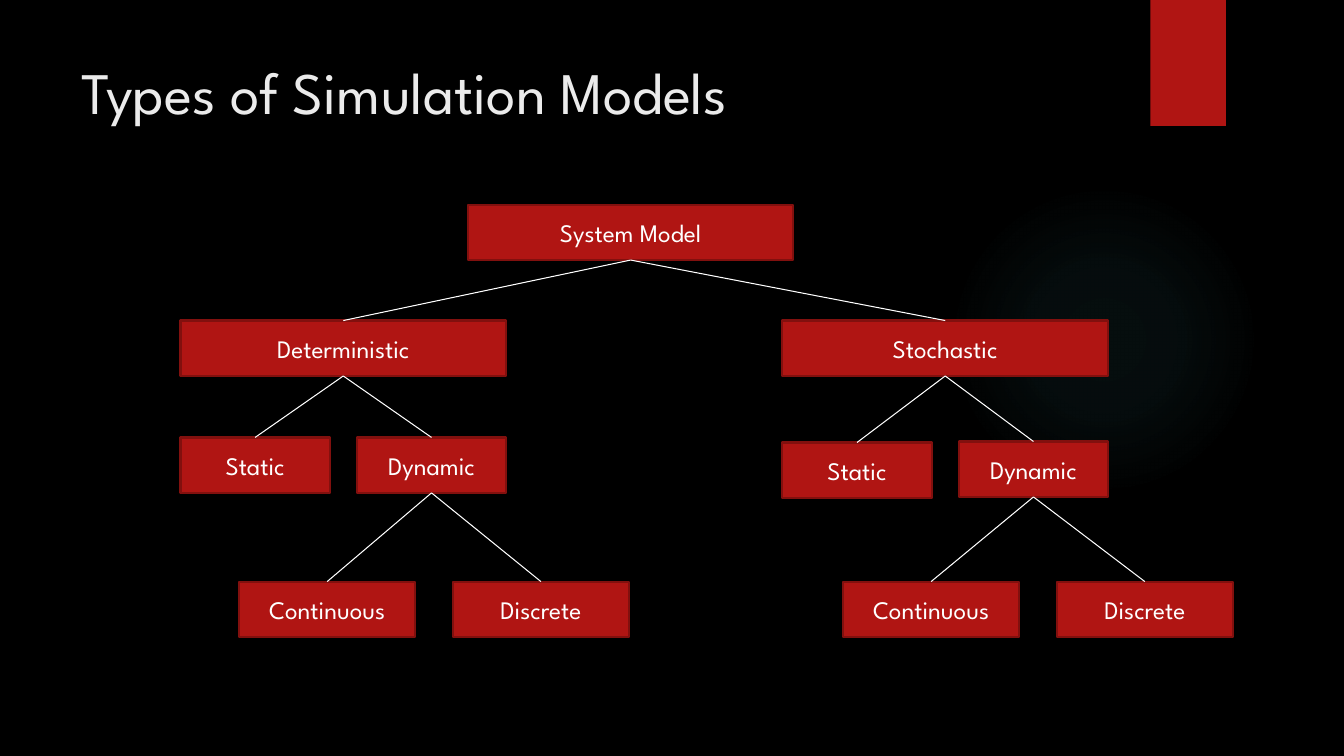
from dataclasses import dataclass

from lxml.etree import SubElement
from pptx import Presentation
from pptx.dml.color import RGBColor
from pptx.enum.shapes import MSO_CONNECTOR, MSO_SHAPE
from pptx.enum.text import MSO_ANCHOR, MSO_AUTO_SIZE, PP_ALIGN
from pptx.oxml import parse_xml
from pptx.oxml.ns import nsdecls, qn
from pptx.shapes.autoshape import Shape
from pptx.slide import Slide
from pptx.text.text import TextFrame
from pptx.util import Inches, Pt

COLORS = {
    "background": "000000",
    "title": "EBEBEB",
    "red": "B01513",
    "border": "82100E",
    "white": "FFFFFF",
    "glow": "50B9C1",
}
FONT = "League Spartan"
BOX_HEIGHT = 0.55
GLOW_STOPS = ((0, 7), (36, 6), (69, 0))
TOP, BOTTOM = 0, 2


@dataclass(frozen=True)
class Node:
    text: str
    x: float
    y: float
    w: float
    children: tuple["Node", ...] = ()


def color(name: str) -> RGBColor:
    return RGBColor.from_string(COLORS[name])


def write(tf: TextFrame, text: str, size: float, color_name: str, align: PP_ALIGN) -> None:
    p = tf.paragraphs[0]
    p.alignment = align
    r = p.add_run()
    r.text = text
    r.font.name = FONT
    r.font.size = Pt(size)
    r.font.color.rgb = color(color_name)


def add_block(s: Slide, kind: MSO_SHAPE, x: float, y: float, w: float, h: float) -> Shape:
    sp = s.shapes.add_shape(kind, Inches(x), Inches(y), Inches(w), Inches(h))
    sp.shadow.inherit = False
    sp.fill.solid()
    sp.fill.fore_color.rgb = color("red")
    sp.line.fill.background()
    return sp


def add_glow(s: Slide) -> None:
    sp = add_block(s, MSO_SHAPE.OVAL, 9.41, 1.83, 3.08, 3.08)
    stops = "".join(
        f'<a:gs pos="{pos * 1000}"><a:srgbClr val="{COLORS["glow"]}">'
        f'<a:alpha val="{alpha * 1000}"/></a:srgbClr></a:gs>'
        for pos, alpha in GLOW_STOPS
    )
    gradient = parse_xml(
        f'<a:gradFill {nsdecls("a")}><a:gsLst>{stops}</a:gsLst><a:path path="circle">'
        '<a:fillToRect l="50000" t="50000" r="50000" b="50000"/></a:path></a:gradFill>'
    )
    spPr = sp.element.spPr
    spPr.replace(spPr.find(qn("a:solidFill")), gradient)


def add_title(s: Slide, text: str) -> None:
    sp = s.shapes.title
    sp.left, sp.top, sp.width, sp.height = (Inches(v) for v in (0.71, 0.5, 10.29, 1.53))
    tf = sp.text_frame
    tf.word_wrap = True
    tf.auto_size = MSO_AUTO_SIZE.NONE
    tf.vertical_anchor = MSO_ANCHOR.TOP
    write(tf, text, 42, "title", PP_ALIGN.LEFT)


def connect(s: Slide, parent: Shape, child: Shape) -> None:
    line = s.shapes.add_connector(MSO_CONNECTOR.STRAIGHT, 0, 0, 0, 0)
    line.begin_connect(parent, BOTTOM)
    line.end_connect(child, TOP)
    line.line.color.rgb = color("white")
    line.line.width = Pt(0.75)
    SubElement(line.element.spPr, qn("a:effectLst"))


def add_tree(s: Slide, node: Node) -> Shape:
    sp = add_block(s, MSO_SHAPE.RECTANGLE, node.x, node.y, node.w, BOX_HEIGHT)
    sp.line.color.rgb = color("border")
    sp.line.width = Pt(1.5)
    tf = sp.text_frame
    tf.word_wrap = True
    tf.vertical_anchor = MSO_ANCHOR.MIDDLE
    write(tf, node.text, 18, "white", PP_ALIGN.CENTER)
    for child in node.children:
        connect(s, sp, add_tree(s, child))
    return sp


def branch(text: str, x: float, static_y: float, dynamic_y: float, leaf_x: float) -> Node:
    leaves = tuple(
        Node(name, leaf_x + i * 2.12, 5.77, 1.75)
        for i, name in enumerate(("Continuous", "Discrete"))
    )
    static = Node("Static", x, static_y, 1.48)
    dynamic = Node("Dynamic", x + 1.75, dynamic_y, 1.48, leaves)
    return Node(text, x, 3.18, 3.23, (static, dynamic))


def main() -> None:
    prs = Presentation()
    prs.slide_width, prs.slide_height = Inches(13.33), Inches(7.5)
    s = prs.slides.add_slide(prs.slide_layouts[5])
    s.background.fill.solid()
    s.background.fill.fore_color.rgb = color("background")
    add_glow(s)
    add_block(s, MSO_SHAPE.RECTANGLE, 11.41, 0, 0.75, 1.25)
    add_title(s, "Types of Simulation Models")
    deterministic = branch("Deterministic", 1.79, 4.34, 4.34, 2.37)
    stochastic = branch("Stochastic", 7.76, 4.39, 4.38, 8.36)
    add_tree(s, Node("System Model", 4.64, 2.03, 3.23, (deterministic, stochastic)))
    prs.save("out.pptx")


if __name__ == "__main__":
    main()
